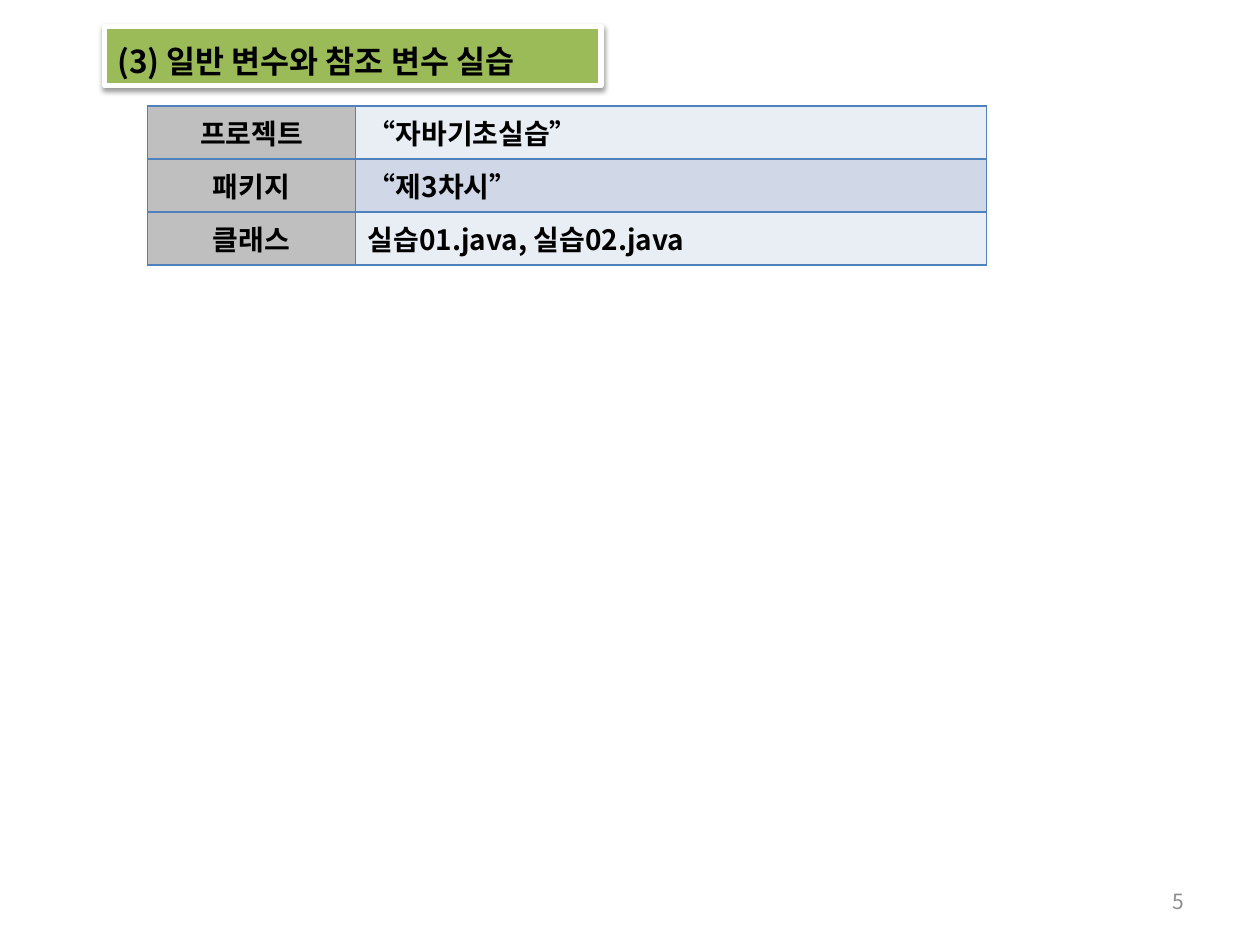
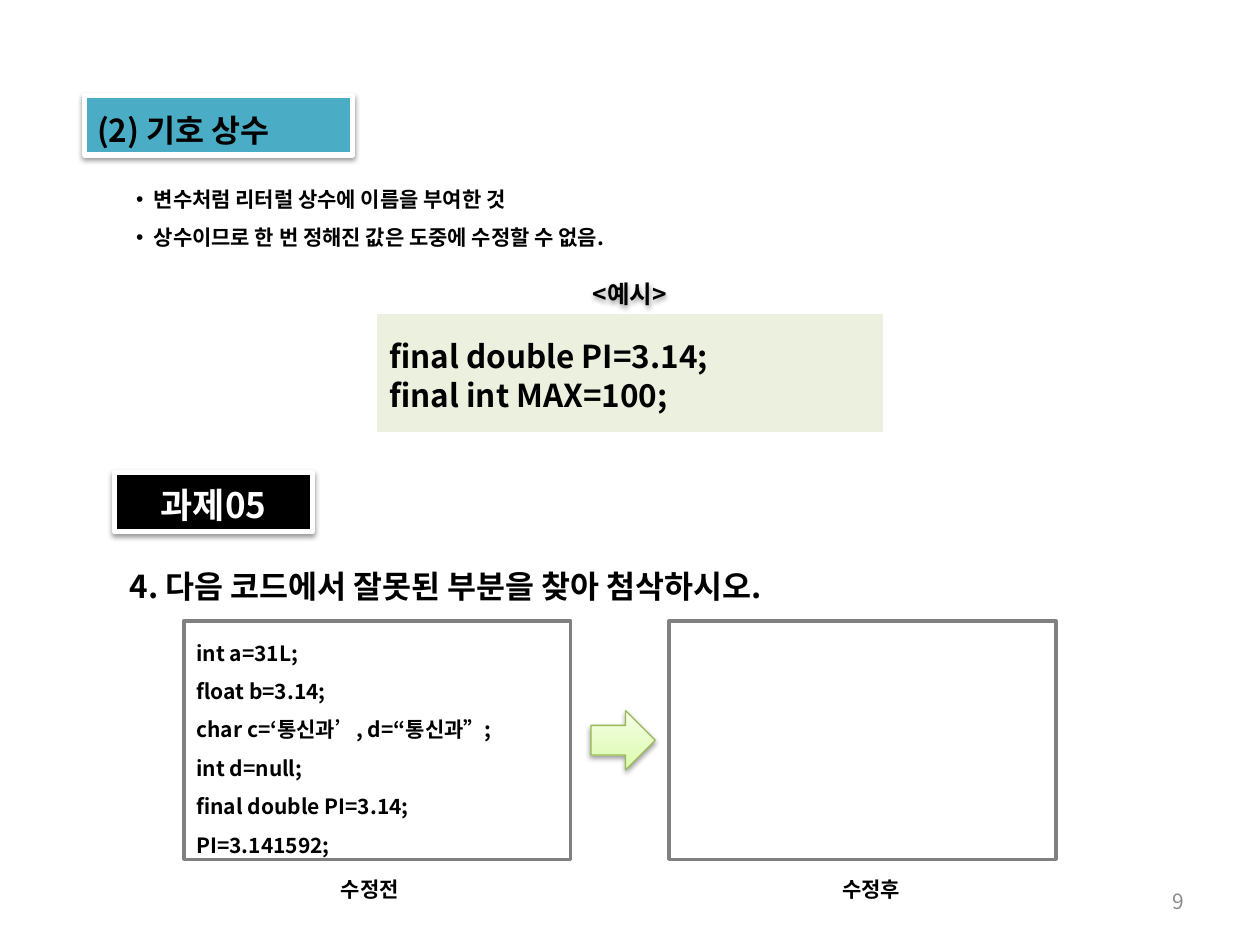
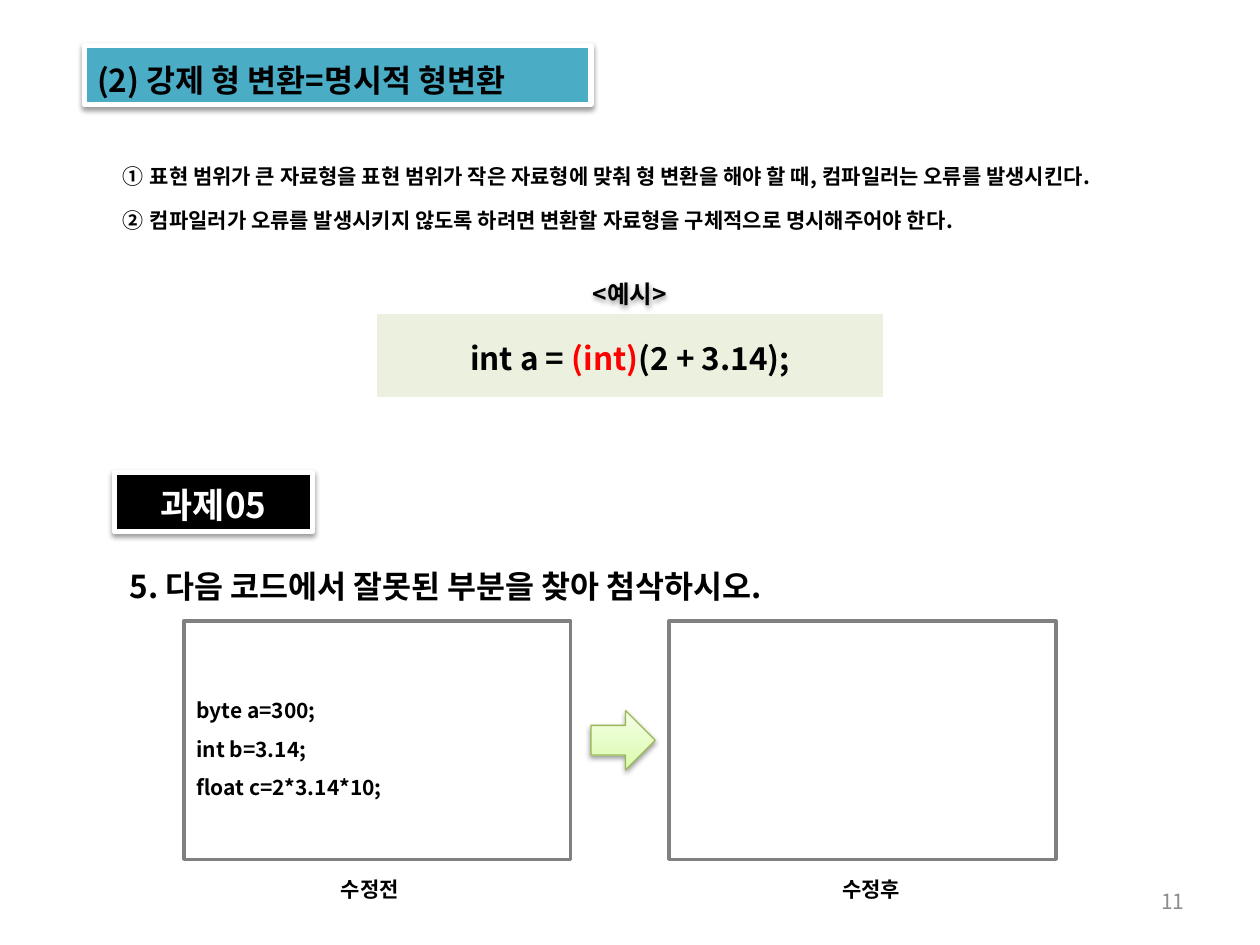
from copy import deepcopy
from dataclasses import dataclass

from lxml import etree
from pptx import Presentation
from pptx.dml.color import RGBColor
from pptx.enum.shapes import MSO_SHAPE as Shape
from pptx.enum.text import MSO_ANCHOR as Anchor, MSO_AUTO_SIZE as AutoSize, PP_ALIGN as Align
from pptx.oxml.ns import qn
from pptx.util import Inches, Pt


@dataclass(frozen=True)
class Theme:
    font: str = "Noto Sans CJK KR"
    ink: str = "000000"
    paper: str = "FFFFFF"
    accent: str = "FF0000"
    number: str = "8C8C8C"
    frame: str = "808080"
    green: str = "9BBB59"
    teal: str = "4BACC6"
    code: str = "EBF1DE"
    label: str = "BFBFBF"
    bands: tuple = ("E9EDF4", "D0D8E8")
    border: str = "4F81BD"
    arrow: tuple = ((0, "DAFDA7"), (0.35, "E4FCC2"), (1, "F5FFE7"))
    arrow_line: str = "98B955"
    small: int = 12
    caption: int = 14
    cell: int = 16
    heading: int = 18
    badge: int = 20


theme = Theme()


def style(shape, area, fill=None, line=None, width=1, shadow=False):
    """Place a shape and set its fill, outline and shadow."""
    shape.left, shape.top, shape.width, shape.height = (Inches(n) for n in area)
    if fill:
        shape.fill.solid()
        shape.fill.fore_color.rgb = RGBColor.from_string(fill)
    else:
        shape.fill.background()
    if line:
        shape.line.color.rgb = RGBColor.from_string(line)
        shape.line.width = Pt(width)
    else:
        shape.line.fill.background()
    shape.shadow.inherit = False
    if shadow:
        effects = shape._element.spPr.find(qn("a:effectLst"))
        outer = etree.SubElement(effects, qn("a:outerShdw"), blurRad=str(Pt(3.1)),
                                 dist=str(Pt(1.6)), dir="5400000", rotWithShape="0")
        color = etree.SubElement(outer, qn("a:srgbClr"), val=theme.ink)
        etree.SubElement(color, qn("a:alpha"), val="38000")
    return shape


def write(frame, lines, size, align=Align.LEFT, spacing=None, color=theme.ink,
          bold=True, indent=0, bullet=None, top=0.08):
    """Fill a text frame; a line is a string or a list of (text, color) spans."""
    frame.auto_size = AutoSize.NONE
    frame.word_wrap = True
    frame.vertical_anchor = Anchor.MIDDLE
    frame.margin_left = frame.margin_right = Inches(0.1)
    frame.margin_top, frame.margin_bottom = Inches(top), Inches(0.05)
    for index, line in enumerate(lines):
        para = frame.add_paragraph() if index else frame.paragraphs[0]
        para.alignment = align
        para.space_before = Pt(0)
        if spacing:
            para.line_spacing = Pt(spacing)
        if indent:
            props = para._p.get_or_add_pPr()
            props.set("marL", str(Inches(indent)))
            props.set("indent", str(-Inches(indent)))
            if bullet:
                tag, attributes = bullet
                etree.SubElement(props, qn(tag), attributes)
        for text, span_color in [(line, color)] if isinstance(line, str) else line:
            span = para.add_run()
            span.text = text
            span.font.size = Pt(size)
            span.font.bold = bold
            span.font.name = theme.font
            span.font.color.rgb = RGBColor.from_string(span_color)
            etree.SubElement(span._r.rPr, qn("a:ea"), typeface=theme.font)


deck = Presentation()
deck.slide_width, deck.slide_height = Inches(10), Inches(7.5)
title_only, title_and_body = deck.slide_layouts[5], deck.slide_layouts[1]

# Headings and page numbers
pages = []
for layout, number, heading, area, fill in [
    (title_only, "5", "(3) 일반 변수와 참조 변수 실습", (0.83, 0.21, 3.94, 0.47), theme.green),
    (title_and_body, "9", "(2) 기호 상수", (0.67, 0.76, 2.13, 0.47), theme.teal),
    (title_and_body, "11", "(2) 강제 형 변환=명시적 형변환", (0.67, 0.36, 4.02, 0.47), theme.teal),
]:
    page = deck.slides.add_slide(layout)
    title = style(page.shapes.title, area, fill, theme.paper, 3, shadow=True)
    write(title.text_frame, [heading], theme.heading, spacing=25)
    box = page.shapes.add_textbox(Inches(7.17), Inches(6.95), Inches(2.33), Inches(0.4))
    write(box.text_frame, [number], theme.small, Align.RIGHT, color=theme.number,
          bold=False, top=0.05)
    pages.append(page)

# Practice table
rows = [
    ("프로젝트", "“자바기초실습”"),
    ("패키지", "“제3차시”"),
    ("클래스", "실습01.java, 실습02.java"),
]
table = pages[0].shapes.add_table(len(rows), 2, Inches(1.17), Inches(0.84),
                                  Inches(6.66), Inches(1.26)).table
for column, width in zip(table.columns, (1.65, 5.01)):
    column.width = Inches(width)
for row_index, row in enumerate(rows):
    table.rows[row_index].height = Inches(0.42)
    band = theme.bands[row_index % 2]
    for column_index, (text, fill, align) in enumerate(
            zip(row, (theme.label, band), (Align.CENTER, Align.LEFT))):
        cell = table.cell(row_index, column_index)
        write(cell.text_frame, [text], theme.cell, align)
        cell.vertical_anchor = Anchor.MIDDLE
        cell.margin_top = cell.margin_bottom = Inches(0.05)
        props = cell._tc.get_or_add_tcPr()
        for side in ("a:lnL", "a:lnR", "a:lnT", "a:lnB"):
            edge = etree.SubElement(props, qn(side), w=str(Pt(1)))
            paint = etree.SubElement(edge, qn("a:solidFill"))
            etree.SubElement(paint, qn("a:srgbClr"), val=theme.border)
        cell.fill.solid()
        cell.fill.fore_color.rgb = RGBColor.from_string(fill)

# Lessons: explanation, example and exercise
lessons = [
    dict(
        points=["변수처럼 리터럴 상수에 이름을 부여한 것",
                "상수이므로 한 번 정해진 값은 도중에 수정할 수 없음."],
        points_area=(0.98, 1.31, 6.54, 0.71), points_spacing=22, indent=0.14,
        bullet=("a:buChar", {"char": "•"}),
        example=["final double PI=3.14;", "final int MAX=100;"],
        example_height=0.94, example_align=Align.LEFT,
        question="4. 다음 코드에서 잘못된 부분을 찾아 첨삭하시오.",
        code=["int a=31L;", "float b=3.14;", "char c=‘통신과’, d=“통신과”;",
              "int d=null;", "final double PI=3.14;", "PI=3.141592;"],
    ),
    dict(
        points=["표현 범위가 큰 자료형을 표현 범위가 작은 자료형에 맞춰 형 변환을 해야 할 때, "
                "컴파일러는 오류를 발생시킨다.",
                "컴파일러가 오류를 발생시키지 않도록 하려면 변환할 자료형을 구체적으로 "
                "명시해주어야 한다."],
        points_area=(0.87, 0.87, 8.3, 1.23), points_spacing=25, indent=0.22,
        bullet=("a:buAutoNum", {"type": "circleNumDbPlain"}),
        example=[[("int a = ", theme.ink), ("(int)", theme.accent),
                  ("(2 + 3.14);", theme.ink)]],
        example_height=0.66, example_align=Align.CENTER,
        question="5. 다음 코드에서 잘못된 부분을 찾아 첨삭하시오.",
        code=["byte a=300;", "int b=3.14;", "float c=2*3.14*10;"],
    ),
]
for page, lesson in zip(pages[1:], lessons):
    body = style(page.placeholders[1], lesson["points_area"])
    write(body.text_frame, lesson["points"], theme.small, spacing=lesson["points_spacing"],
          indent=lesson["indent"], bullet=lesson["bullet"])

    # Each block: area, look, lines, text format
    blocks = [
        ((4.45, 2.1, 1.1, 0.31), dict(shadow=True), ["<예시>"],
         dict(size=theme.caption, align=Align.CENTER, spacing=25)),
        ((2.99, 2.49, 4.02, lesson["example_height"]), dict(fill=theme.code), lesson["example"],
         dict(size=theme.heading, align=lesson["example_align"], spacing=22)),
        ((0.91, 3.75, 1.57, 0.47),
         dict(fill=theme.ink, line=theme.paper, width=3, shadow=True), ["과제05"],
         dict(size=theme.badge, align=Align.CENTER, color=theme.paper)),
        ((0.93, 4.38, 7.77, 0.47), {}, [lesson["question"]],
         dict(size=theme.heading, spacing=25, indent=0.27)),
    ]
    for frame_left, caption_left, caption, code in [
        (1.46, 2.52, "수정전", lesson["code"]),
        (5.31, 6.5, "수정후", []),
    ]:
        blocks += [
            ((frame_left, 4.93, 3.07, 1.89), dict(line=theme.frame, width=2), code,
             dict(size=theme.small, spacing=22)),
            ((caption_left, 6.83, 0.83, 0.31), {}, [caption],
             dict(size=theme.small, align=Align.CENTER, spacing=22)),
        ]
    for area, look, lines, text_format in blocks:
        block = page.shapes.add_shape(Shape.FLOWCHART_PROCESS, 0, 0, 0, 0)
        style(block, area, **look)
        write(block.text_frame, lines, **text_format)

    arrow = page.shapes.add_shape(Shape.RIGHT_ARROW, 0, 0, 0, 0)
    style(arrow, (4.69, 5.64, 0.51, 0.47), line=theme.arrow_line, width=0.75, shadow=True)
    arrow.fill.gradient()
    arrow.fill.gradient_angle = 90
    stop_list = arrow._element.spPr.find(".//" + qn("a:gsLst"))
    stop_list.append(deepcopy(stop_list[0]))
    for stop, (position, color) in zip(arrow.fill.gradient_stops, theme.arrow):
        stop.position = position
        stop.color.rgb = RGBColor.from_string(color)

deck.save("out.pptx")
